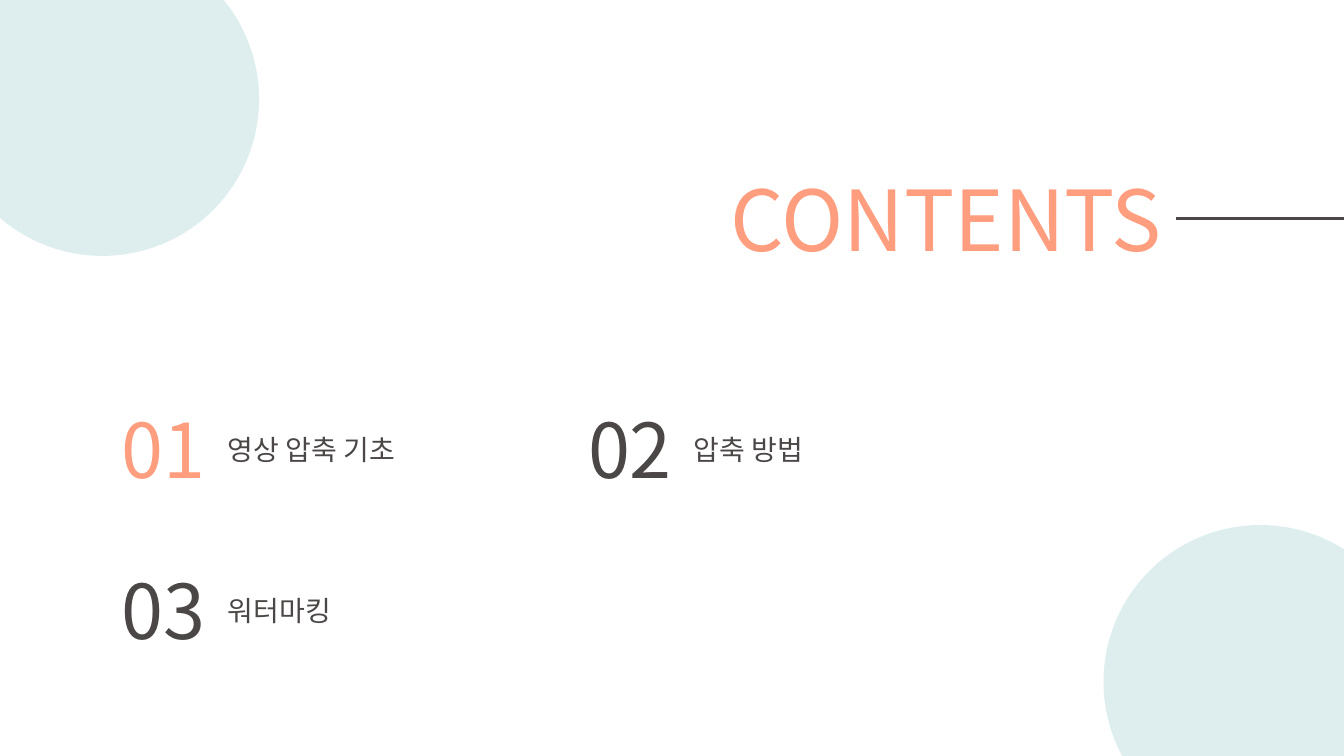
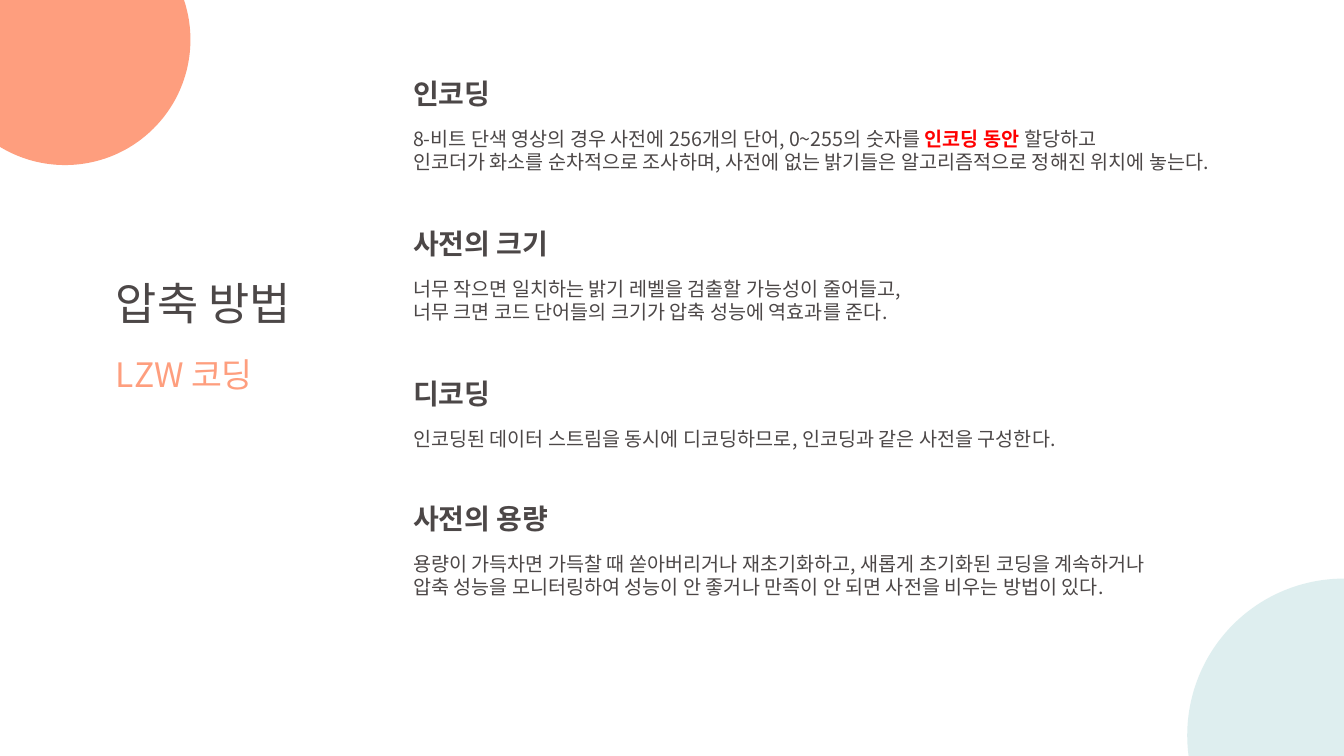
from lxml.etree import SubElement
from pptx import Presentation
from pptx.dml.color import RGBColor
from pptx.enum.shapes import MSO_CONNECTOR, MSO_SHAPE
from pptx.enum.text import MSO_AUTO_SIZE
from pptx.oxml import parse_xml
from pptx.oxml.ns import nsdecls, qn
from pptx.util import Cm, Pt

FONT = "Noto Sans CJK KR"
COLORS = {"coral": "FE9E7E", "dark": "4C4747", "mint": "C8E4E5", "red": "FF0000"}
SLIDE_WIDTH, SLIDE_HEIGHT = 33.87, 19.05
MINT_SIZE, CORAL_SIZE = 7.9, 6.32

# Label, colour of its number, width of the label box
CONTENTS = [
    ("영상 압축 기초", "coral", 5.28),
    ("압축 방법", "dark", 3.61),
    ("워터마킹", "dark", 3.35),
]

# Heading, heading width, body width, body lines; a line in parts marks its emphasis with True
SECTIONS = [
    ("인코딩", 2.64, 22.91, [
        [("8-비트 단색 영상의 경우 사전에 256개의 단어, 0~255의 숫자를 ", False),
         ("인코딩 동안", True), (" 할당하고", False)],
        "인코더가 화소를 순차적으로 조사하며, 사전에 없는 밝기들은 알고리즘적으로 정해진 위치에 놓는다.",
    ]),
    ("사전의 크기", 4.32, 14.3, [
        "너무 작으면 일치하는 밝기 레벨을 검출할 가능성이 줄어들고,",
        "너무 크면 코드 단어들의 크기가 압축 성능에 역효과를 준다.",
    ]),
    ("디코딩", 2.64, 18.59, [
        "인코딩된 데이터 스트림을 동시에 디코딩하므로, 인코딩과 같은 사전을 구성한다.",
    ]),
    ("사전의 용량", 4.32, 20.96, [
        "용량이 가득차면 가득찰 때 쏟아버리거나 재초기화하고, 새롭게 초기화된 코딩을 계속하거나",
        "압축 성능을 모니터링하여 성능이 안 좋거나 만족이 안 되면 사전을 비우는 방법이 있다.",
    ]),
]


def rgb(color):
    return RGBColor.from_string(COLORS[color])


def set_font(paragraph, size, color, bold):
    """Style a paragraph, with a faint outline and the East Asian typeface."""
    font = paragraph.font
    font.size, font.bold, font.name = Pt(size), bold, FONT
    font.color.rgb = rgb(color)
    properties = paragraph._p.pPr.find(qn("a:defRPr"))
    properties.insert(0, parse_xml(
        f'<a:ln {nsdecls("a")} w="9525"><a:solidFill><a:srgbClr val="{COLORS[color]}">'
        '<a:alpha val="20000"/></a:srgbClr></a:solidFill></a:ln>'))
    latin = properties.find(qn("a:latin"))
    latin.addnext(parse_xml(f'<a:ea {nsdecls("a")} typeface="{FONT}"/>'))


def add_text(slide, left, top, width, height, lines, size, color="dark", bold=False):
    box = slide.shapes.add_textbox(Cm(left), Cm(top), Cm(width), Cm(height))
    frame = box.text_frame
    frame.word_wrap = False
    frame.auto_size = MSO_AUTO_SIZE.SHAPE_TO_FIT_TEXT
    for index, line in enumerate(lines):
        paragraph = frame.add_paragraph() if index else frame.paragraphs[0]
        set_font(paragraph, size, color, bold)
        parts = [(line, False)] if isinstance(line, str) else line
        for text, emphasized in parts:
            run = paragraph.add_run()
            run.text = text
            if emphasized:
                run.font.bold = True
                run.font.color.rgb = rgb("red")


def add_circle(slide, left, top, size, color, opacity=100):
    circle = slide.shapes.add_shape(
        MSO_SHAPE.OVAL, Cm(left), Cm(top), Cm(size), Cm(size))
    circle.shadow.inherit = False
    circle.line.fill.background()
    circle.fill.solid()
    circle.fill.fore_color.rgb = rgb(color)
    if opacity < 100:
        fill_color = circle._element.spPr.find(qn("a:solidFill"))[0]
        SubElement(fill_color, qn("a:alpha"), val=str(opacity * 1000))


def add_mint_circle(slide, left, top):
    add_circle(slide, left, top, MINT_SIZE, "mint", 60)


def add_title_rule(slide, left, top):
    """Draw a line from the title to the right edge."""
    rule = slide.shapes.add_connector(
        MSO_CONNECTOR.STRAIGHT, Cm(left), Cm(top), Cm(SLIDE_WIDTH), Cm(top))
    rule.line.color.rgb = rgb("dark")
    rule.line.width = Pt(2.25)
    SubElement(rule._element.spPr, qn("a:effectLst"))


def build_contents(slide):
    add_text(slide, 18.16, 4.09, 11.48, 2.82, ["CONTENTS"], 60, "coral")
    add_title_rule(slide, 29.64, 5.5)
    add_mint_circle(slide, -1.37, -1.45)
    add_mint_circle(slide, 27.81, 13.23)
    for index, (label, color, width) in enumerate(CONTENTS):
        row, column = divmod(index, 2)
        left, top = 2.82 + column * 11.75, 10.03 + row * 4.06
        add_text(slide, left, top, 2.67, 2.57, [f"{index + 1:02d}"], 54, color)
        add_text(slide, left + 2.67, top + 0.74, width, 1.12, [label], 20)


def build_sections(slide):
    add_circle(slide, -1.52, -2.16, CORAL_SIZE, "coral")
    add_text(slide, 2.67, 6.83, 5.46, 1.63, ["압축 방법"], 32)
    add_text(slide, 2.67, 8.79, 4.27, 1.27, ["LZW 코딩"], 24, "coral")
    add_mint_circle(slide, 29.92, 14.58)
    left, top = 10.16, 1.8
    for heading, heading_width, body_width, lines in SECTIONS:
        add_text(slide, left, top, heading_width, 1.12, [heading], 20, bold=True)
        body_height = 0.26 + 0.6 * len(lines)
        add_text(slide, left, top + 1.27, body_width, body_height, lines, 14)
        top += 2.52 + 0.63 * len(lines)


def main():
    presentation = Presentation()
    presentation.slide_width = Cm(SLIDE_WIDTH)
    presentation.slide_height = Cm(SLIDE_HEIGHT)
    blank = presentation.slide_layouts[6]
    for build in (build_contents, build_sections):
        build(presentation.slides.add_slide(blank))
    presentation.save("out.pptx")


if __name__ == "__main__":
    main()
